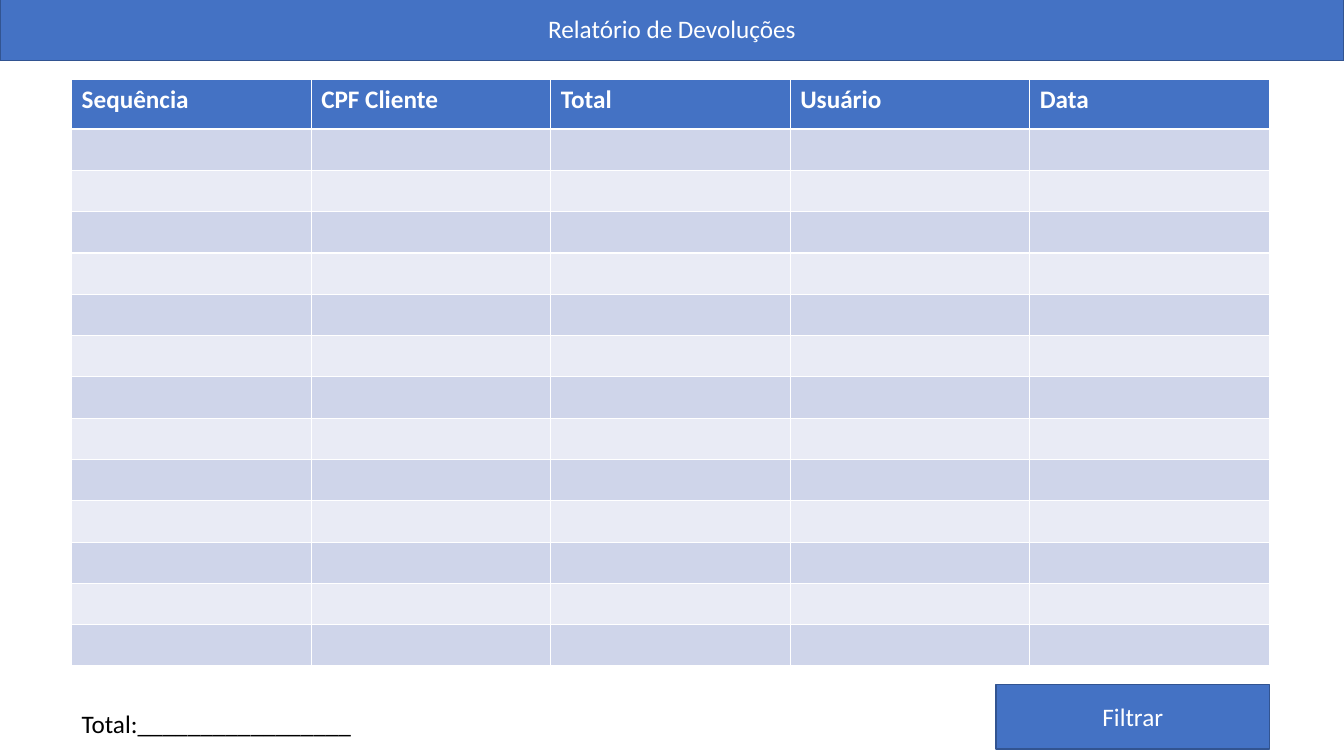
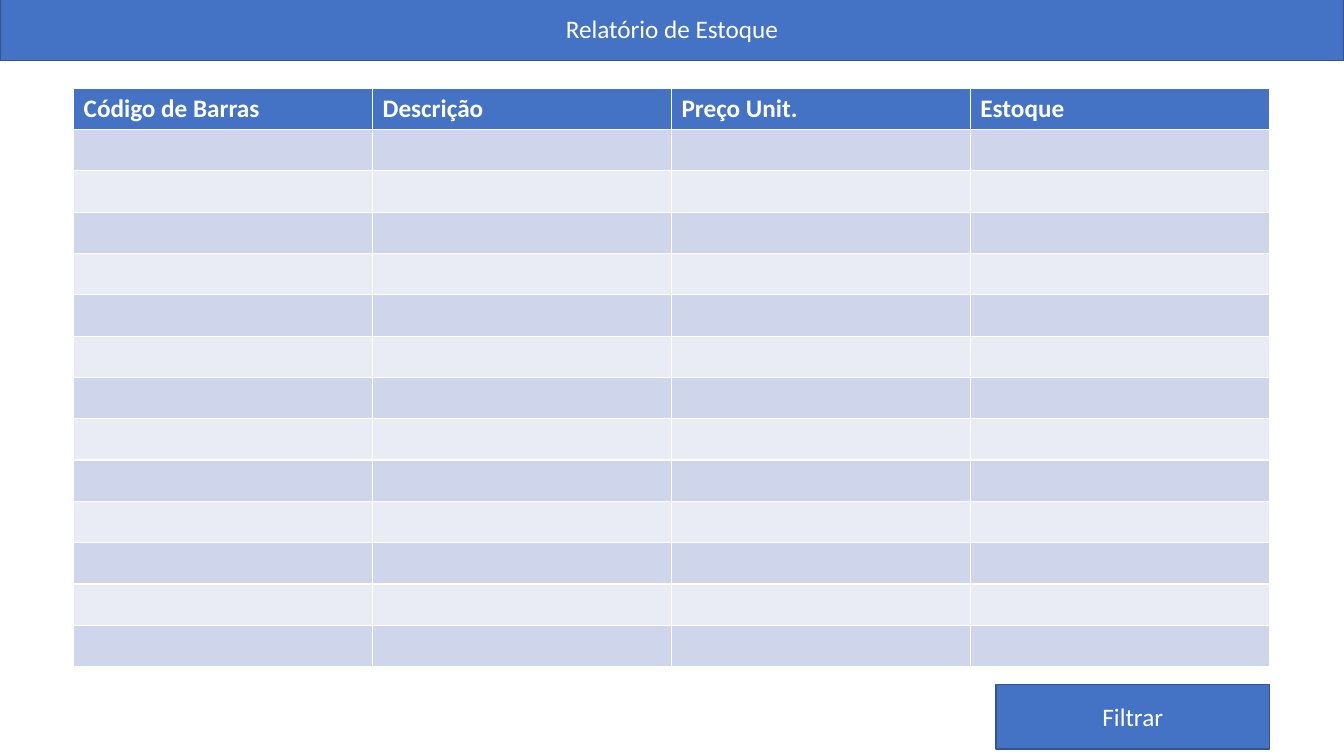
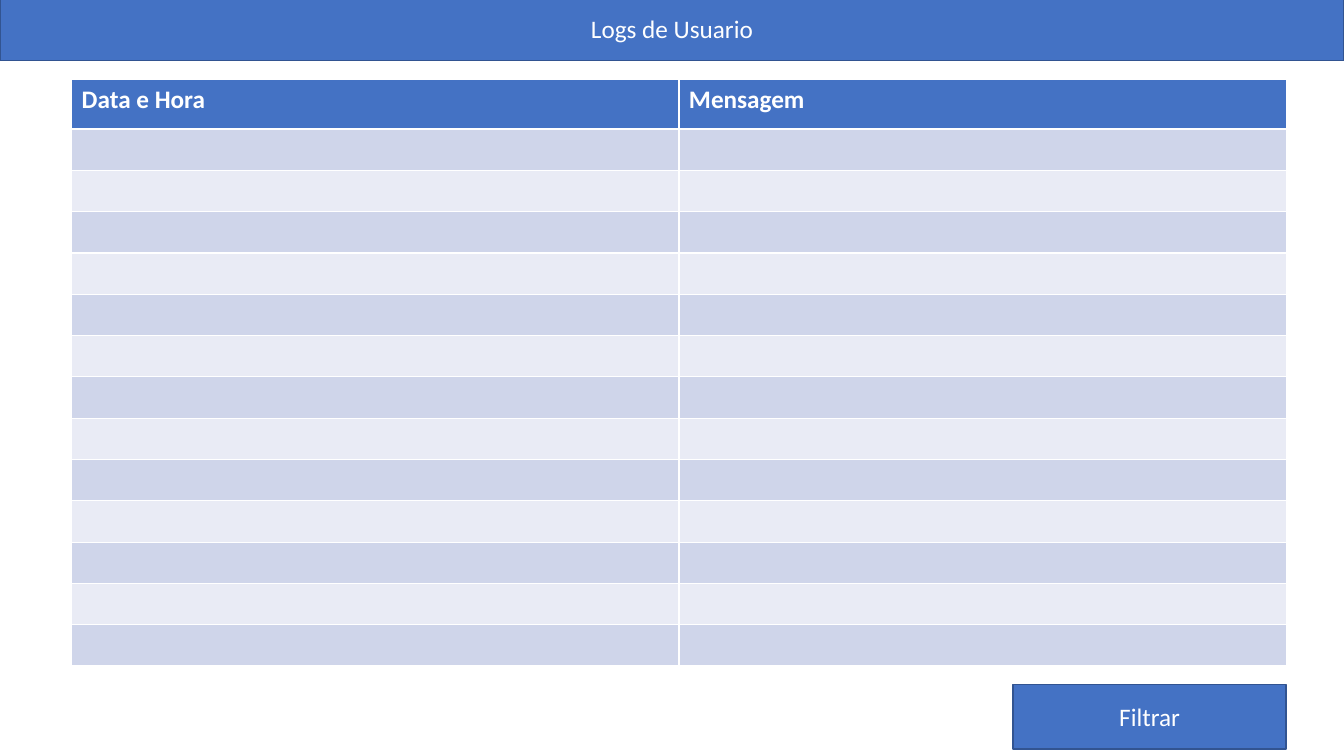
from pptx import Presentation
from pptx import util as u
from pptx.dml.color import RGBColor
from pptx.enum import shapes, text

# Shared look
HUES = {"blue": "4472C4", "edge": "325491", "odd": "CFD5EA",
        "even": "E9EBF5", "white": "FFFFFF", "black": "000000"}
HUE = {name: RGBColor.from_string(code) for name, code in HUES.items()}
FONT, SIZE = "Calibri", u.Pt(18)

# Shared grid, in hundredths of the slide's width and height
BAND = (0, -0.53, 100, 8.53)
TOTAL = (5.33, 93.07, 25.43, 5.33)
BUTTON_TOP, BUTTON_W, BUTTON_H = 90.53, 20.33, 8.53
HEAD, FOOT, ROWS = 17.07, 88.13, 13

# Title, column names, table left, top and right, total line
PAGES = [
    ("Relatório de Devoluções",
     ["Sequência", "CPF Cliente", "Total", "Usuário", "Data"],
     5.33, 10.53, 94.45, "Total:_________________"),
    ("Relatório de Estoque",
     ["Código de Barras", "Descrição", "Preço Unit.", "Estoque"],
     5.48, 11.73, 94.45, None),
    ("Logs de Usuario", ["Data e Hora", "Mensagem"],
     5.33, 10.53, 95.7, None),
]

deck = Presentation()
deck.slide_width, deck.slide_height = u.Inches(13.33), u.Inches(7.5)


def place(left, top, wide, high):
    """Turn hundredths of the slide into lengths."""
    across, down = deck.slide_width / 100, deck.slide_height / 100
    return (round(left * across), round(top * down),
            round(wide * across), round(high * down))


def write(frame, words, hue, bold=False, align=None):
    """Fill a text frame with one styled paragraph."""
    frame.text = words
    para = frame.paragraphs[0]
    para.alignment = align
    font = para.runs[0].font
    font.name, font.size, font.bold = FONT, SIZE, bold
    font.color.rgb = HUE[hue]


for title, names, left, top, right, total in PAGES:
    slide = deck.slides.add_slide(deck.slide_layouts[5])

    # Title band and button
    band = slide.shapes.title
    band.left, band.top, band.width, band.height = place(*BAND)
    button = slide.shapes.add_shape(
        shapes.MSO_SHAPE.RECTANGLE,
        *place(right - BUTTON_W, BUTTON_TOP, BUTTON_W, BUTTON_H))
    button.shadow.inherit = False
    for box, words in ((band, title), (button, "Filtrar")):
        box.fill.solid()
        box.fill.fore_color.rgb = HUE["blue"]
        box.line.color.rgb = HUE["edge"]
        box.line.width = u.Pt(1)
        frame = box.text_frame
        frame.auto_size = text.MSO_AUTO_SIZE.NONE
        frame.vertical_anchor = text.MSO_ANCHOR.MIDDLE
        write(frame, words, "white", align=text.PP_ALIGN.CENTER)

    # Table: the header takes what is left above the even rows
    spot = place(left, top, right - left, FOOT - top)
    grid = slide.shapes.add_table(ROWS + 1, len(names), *spot).table
    for row in grid.rows:
        row.height = place(0, 0, 0, (FOOT - HEAD) / ROWS)[3]
    grid.rows[0].height = place(0, 0, 0, HEAD - top)[3]
    for r, row in enumerate(grid.rows):
        for c, cell in enumerate(row.cells):
            cell.fill.solid()
            if r == 0:
                cell.fill.fore_color.rgb = HUE["blue"]
                write(cell.text_frame, names[c], "white", bold=True)
            else:
                cell.fill.fore_color.rgb = HUE["odd" if r % 2 else "even"]

    # Total line
    if total:
        note = slide.shapes.add_textbox(*place(*TOTAL)).text_frame
        note.word_wrap = True
        write(note, total, "black")

deck.save("out.pptx")
